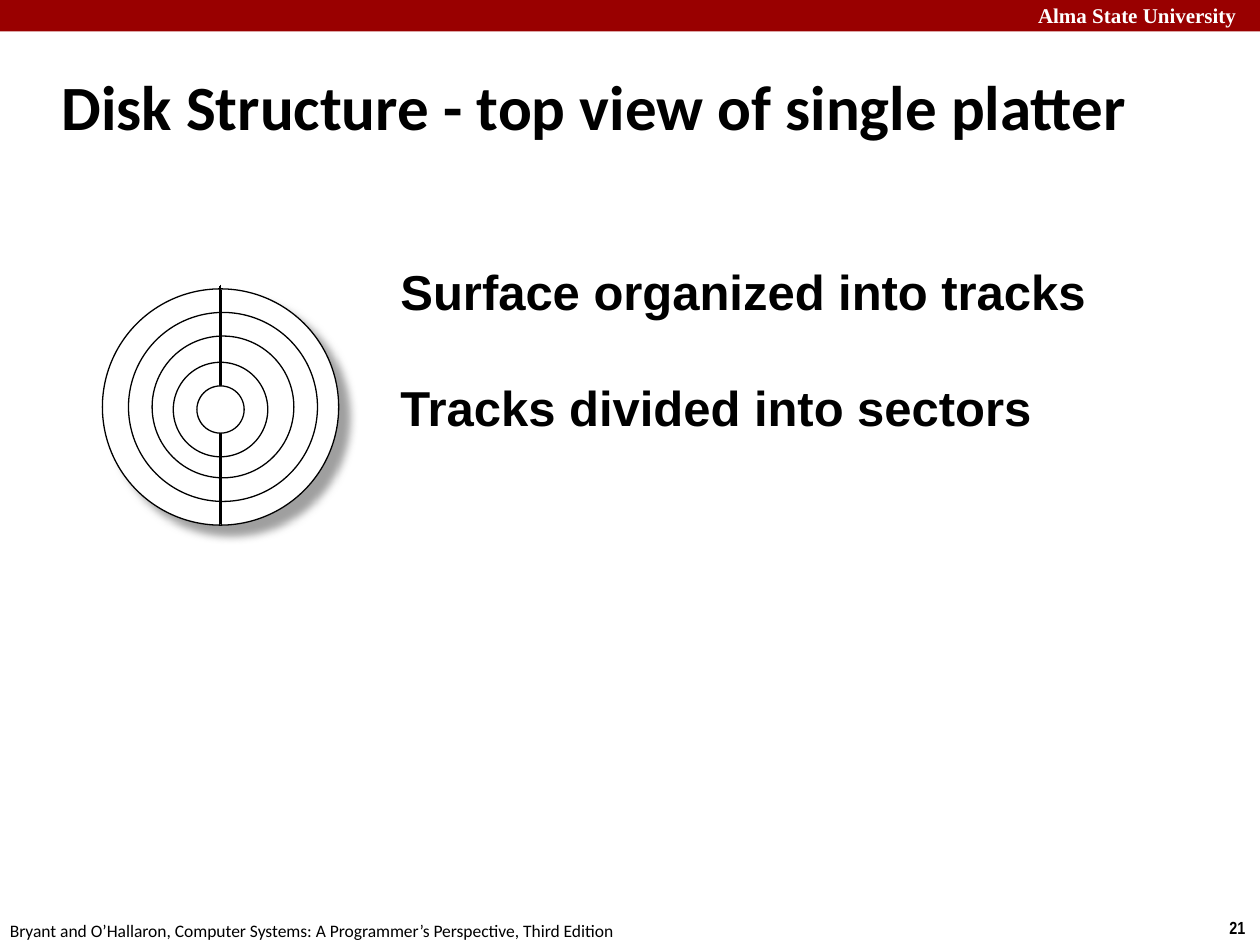
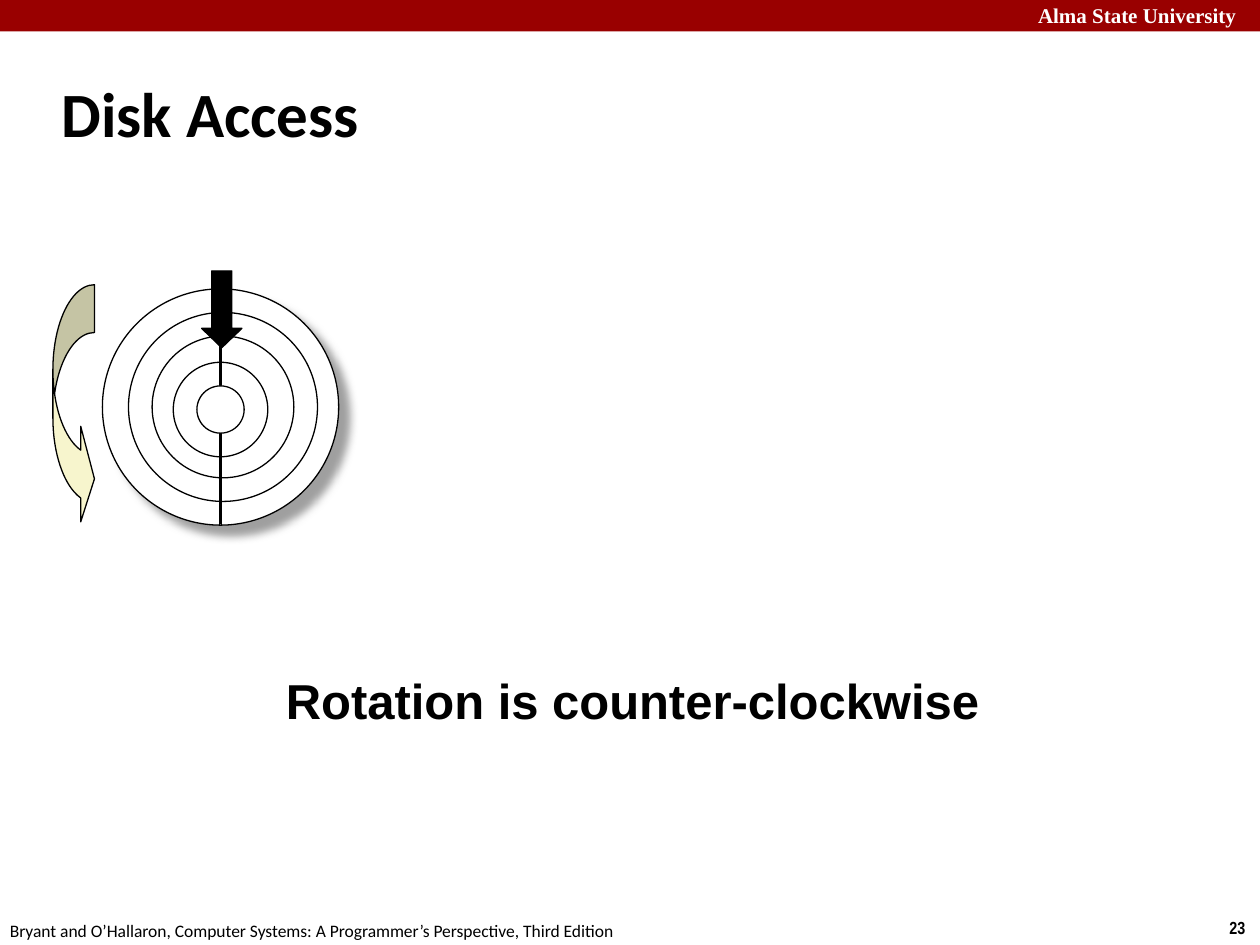
from lxml.etree import SubElement
from pptx import Presentation
from pptx.dml.color import RGBColor
from pptx.enum.shapes import MSO_CONNECTOR as Connector, MSO_SHAPE as Shape
from pptx.enum.text import MSO_ANCHOR as Anchor
from pptx.oxml.ns import qn
from pptx.util import Inches, Pt

COLUMNS, ROWS = 10, 7.5
CELL = Inches(1)

BLACK = RGBColor(0x00, 0x00, 0x00)
WHITE = RGBColor(0xFF, 0xFF, 0xFF)
CRIMSON = RGBColor(0x99, 0x00, 0x00)
CREAM = RGBColor(0xF7, 0xF5, 0xCD)
SHADOW_GREY = RGBColor(0x80, 0x80, 0x80)

BAND_HEIGHT = 0.25
TRACK_STEP = 0.375
TRACK_CENTRES = [(1.75, 3.23), (1.77, 3.23), (1.77, 3.23), (1.75, 3.25), (1.75, 3.25)]
SECTOR_LENGTH = 1.87
SECTOR_STARTS = [(1.74, 2.29), (1.75, 2.29), (1.74, 2.3), (1.74, 2.27), (1.75, 2.26), (1.76, 2.3)]

UNIVERSITY = "Alma State University"
BOOK = "Bryant and O’Hallaron, Computer Systems: A Programmer’s Perspective, Third Edition"


def grid(*cells):
    """Turn grid columns and rows into slide lengths."""
    return [round(cell * CELL) for cell in cells]


def add_text(slide, text, at, font="Arial", size=28, color=BLACK, bold=True,
             anchor=Anchor.BOTTOM, wrap=True):
    """Add one line of formatted text."""
    box = slide.shapes.add_textbox(*grid(*at))
    frame = box.text_frame
    frame.word_wrap = wrap
    frame.vertical_anchor = anchor
    run = frame.paragraphs[0].add_run()
    run.text = text
    run.font.name = font
    run.font.size = Pt(size)
    run.font.bold = bold
    run.font.color.rgb = color


def add_figure(slide, preset, at, fill=WHITE, outline=BLACK, adjustments=()):
    """Add a flat preset shape, outlined unless outline is None."""
    figure = slide.shapes.add_shape(preset, *grid(*at))
    figure.shadow.inherit = False
    figure.fill.solid()
    figure.fill.fore_color.rgb = fill
    if outline is None:
        figure.line.fill.background()
    else:
        figure.line.color.rgb = outline
        figure.line.width = Pt(0.75)
    for index, value in enumerate(adjustments):
        figure.adjustments[index] = value
    return figure


def cast_shadow(figure):
    """Give a figure a soft shadow to the lower right."""
    effects = figure.element.spPr.find(qn("a:effectLst"))
    shadow = SubElement(effects, qn("a:outerShdw"), blurRad=str(Pt(5)), dist=str(Pt(8.5)),
                        dir="2700000", algn="ctr", rotWithShape="0")
    color = SubElement(shadow, qn("a:srgbClr"), val=str(SHADOW_GREY))
    SubElement(color, qn("a:alpha"), val="74000")


def add_sector_line(slide, x, top):
    """Add a vertical line across the platter."""
    line = slide.shapes.add_connector(Connector.STRAIGHT, *grid(x, top, x, top + SECTOR_LENGTH))
    line.line.color.rgb = BLACK
    line.line.width = Pt(0.75)
    SubElement(line.element.spPr, qn("a:effectLst"))


def add_track(slide, number):
    """Add one circular track, counted from the rim inwards."""
    x, y = TRACK_CENTRES[number]
    diameter = TRACK_STEP * (len(TRACK_CENTRES) - number)
    corner = x - diameter / 2, y - diameter / 2
    return add_figure(slide, Shape.OVAL, (*corner, diameter, diameter))


def add_platter(slide):
    """Draw the platter: tracks, the sector boundary and the hub."""
    cast_shadow(add_track(slide, 0))
    hub = len(TRACK_CENTRES) - 1
    for number in range(1, hub):
        add_track(slide, number)
    for x, top in SECTOR_STARTS:
        add_sector_line(slide, x, top)
    add_track(slide, hub)


def add_page(deck, number, title, title_top):
    """Add a slide with the band, the footer and a title."""
    slide = deck.slides.add_slide(deck.slide_layouts[6])
    add_figure(slide, Shape.RECTANGLE, (0, 0, COLUMNS, BAND_HEIGHT), CRIMSON, outline=None)
    add_text(slide, UNIVERSITY, (8.14, -0.03, 1.93, 0.3), font="Times New Roman", size=12,
             color=WHITE, anchor=Anchor.TOP, wrap=False)
    add_text(slide, str(number), (9.66, ROWS - 0.27, 0.34, 0.27), font="Arial Narrow", size=10,
             anchor=Anchor.TOP, wrap=False)
    add_text(slide, BOOK, (-0.02, ROWS - 0.25, 5.08, 0.27), font="Calibri", size=10,
             bold=False, anchor=Anchor.TOP, wrap=False)
    add_text(slide, title, (0.39, title_top, 9.28, 0.83), font="Calibri", size=36,
             anchor=Anchor.MIDDLE)
    return slide


def add_structure_page(deck):
    """Show how a platter is split into tracks and sectors."""
    slide = add_page(deck, 21, "Disk Structure - top view of single platter", 0.42)
    add_platter(slide)
    statements = ["Surface organized into tracks", "Tracks divided into sectors"]
    for row, statement in enumerate(statements):
        add_text(slide, statement, (3.08, 1.67 + row * 0.92, 6.25, 0.92))


def add_access_page(deck):
    """Show the head over the rotating platter."""
    slide = add_page(deck, 23, "Disk Access", 0.48)
    add_platter(slide)
    add_figure(slide, Shape.DOWN_ARROW, (1.6, 2.15, 0.32, 0.61), BLACK,
               adjustments=(0.5, 0.48))
    add_figure(slide, Shape.CURVED_RIGHT_ARROW, (0.42, 2.26, 0.33, 1.92), CREAM,
               adjustments=(1.15, 2.3, 0.33))
    add_text(slide, "Rotation is counter-clockwise", (2.17, 4.92, 5.92, 0.92))


def main():
    """Build and save the deck."""
    deck = Presentation()
    deck.slide_width, deck.slide_height = grid(COLUMNS, ROWS)
    add_structure_page(deck)
    add_access_page(deck)
    deck.save("out.pptx")


if __name__ == "__main__":
    main()
